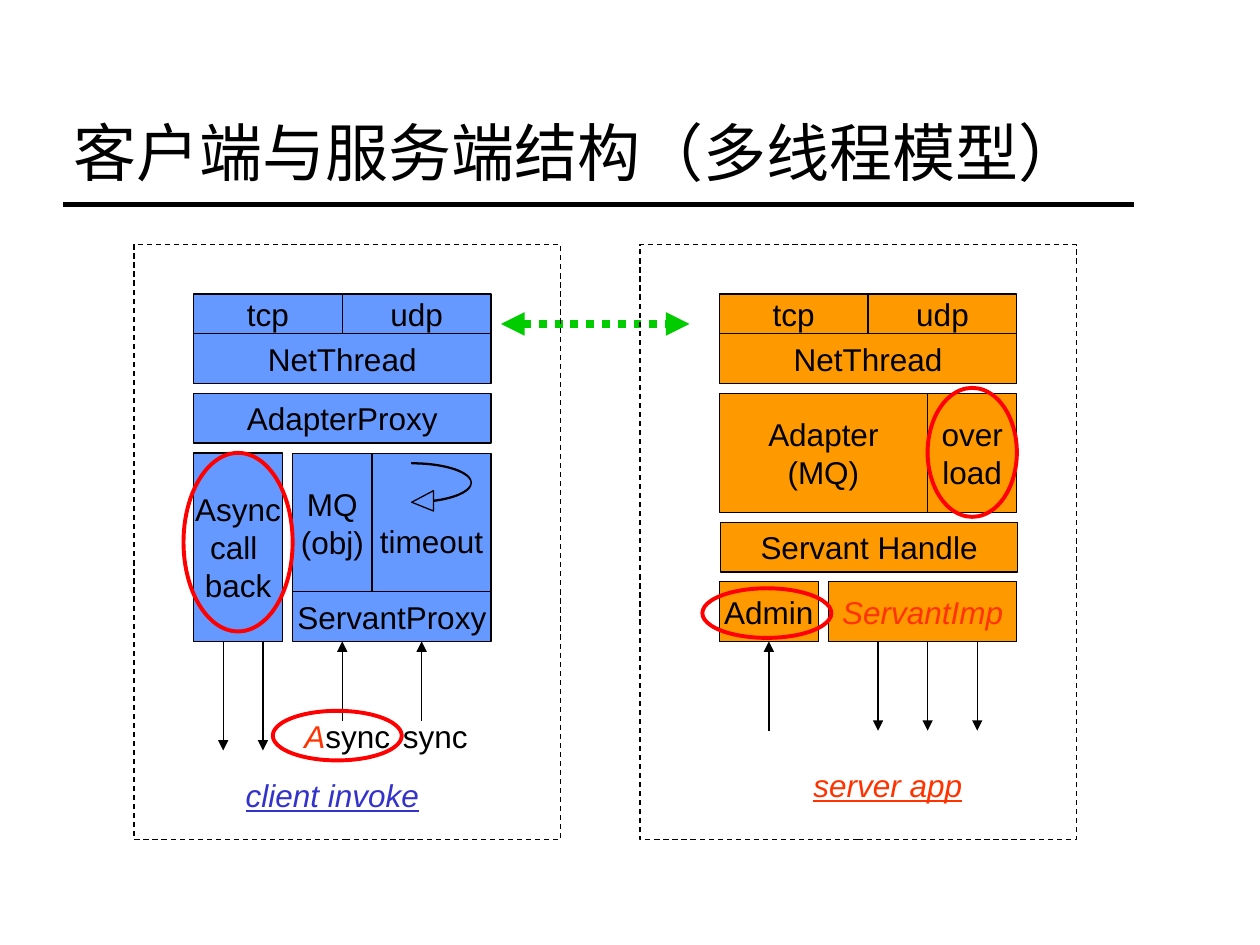
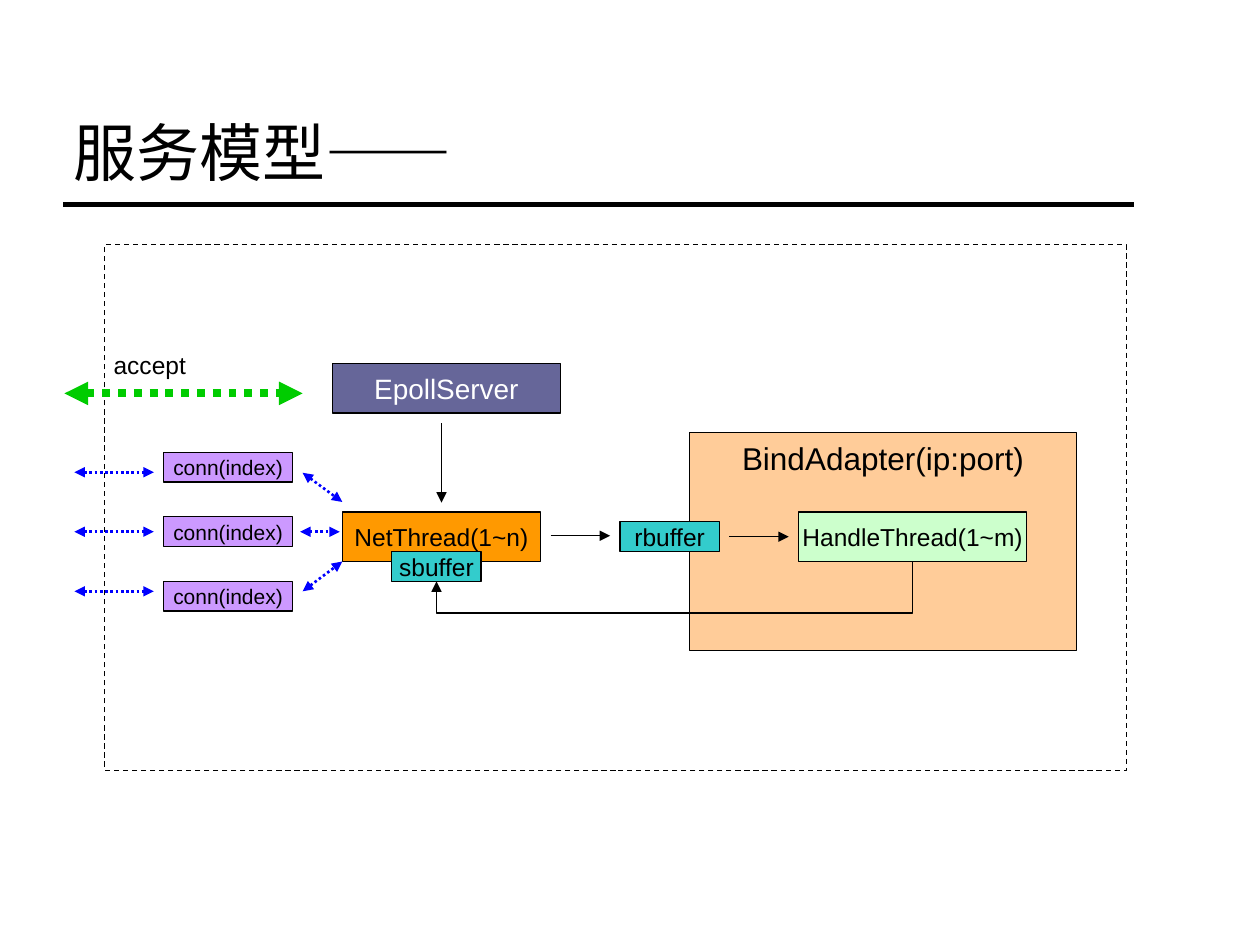
import pptx
import pptx.dml.color
import pptx.enum.dml
import pptx.enum.shapes
import pptx.enum.text
import pptx.oxml
import pptx.oxml.ns
import pptx.util

Cm = pptx.util.Cm
Pt = pptx.util.Pt
KIND = pptx.enum.shapes.MSO_SHAPE
LINK = pptx.enum.shapes.MSO_CONNECTOR
DASH = pptx.enum.dml.MSO_LINE
ALIGN = pptx.enum.text.PP_ALIGN
ANCHOR = pptx.enum.text.MSO_ANCHOR
FIT = pptx.enum.text.MSO_AUTO_SIZE
FONT = "Arial"

HUES = {
    "black": "000000", "white": "FFFFFF", "red": "FF0000", "flame": "FF3300",
    "blue": "6699FF", "navy": "3333CC", "ink": "0000FF", "orange": "FF9900",
    "green": "00CC00", "teal": "33CCCC", "peach": "FFCC99", "slate": "666699",
    "mint": "CCFFCC", "lilac": "CC99FF",
}


def hue(name):
    return pptx.dml.color.RGBColor.from_string(HUES[name])


def add_run(para, text, size, tone="black", font=FONT, slant=False, under=False):
    run = para.add_run()
    run.text = text
    run.font.size = Pt(size)
    run.font.name = font
    run.font.color.rgb = hue(tone)
    run.font.italic = slant
    run.font.underline = under


def set_line(line, tone, width, dash=None):
    line.color.rgb = hue(tone)
    line.width = Pt(width)
    if dash:
        line.dash_style = dash


def add_shape(slide, kind, spot, fill=None, edge="black", width=0.75, dash=None):
    shape = slide.shapes.add_shape(kind, *map(Cm, spot))
    shape.shadow.inherit = False
    if fill:
        shape.fill.solid()
        shape.fill.fore_color.rgb = hue(fill)
    else:
        shape.fill.background()
    if edge:
        set_line(shape.line, edge, width, dash)
    else:
        shape.line.fill.background()
    return shape


def write(shape, text, size, anchor=ANCHOR.MIDDLE, **style):
    frame = shape.text_frame
    frame.word_wrap = False
    frame.vertical_anchor = anchor
    for n, part in enumerate(text.split("\n")):
        para = frame.add_paragraph() if n else frame.paragraphs[0]
        para.alignment = ALIGN.CENTER
        add_run(para, part, size, **style)
    return frame


def add_box(slide, text, spot, fill, size=18, anchor=ANCHOR.MIDDLE, **style):
    return write(add_shape(slide, KIND.RECTANGLE, spot, fill), text, size, anchor, **style)


def add_label(slide, text, spot, **style):
    shape = add_shape(slide, KIND.FLOWCHART_PROCESS, spot, edge=None)
    return write(shape, text, 18, **style)


def add_frame(slide, spot):
    add_shape(slide, KIND.RECTANGLE, spot, dash=DASH.DASH)


def add_ring(slide, spot):
    add_shape(slide, KIND.OVAL, spot, edge="red", width=2.25)


def add_line(slide, ends, tone="black", width=0.75, dash=None, tips=("tail",),
             kind=LINK.STRAIGHT):
    link = slide.shapes.add_connector(kind, *map(Cm, ends))
    set_line(link.line, tone, width, dash)
    tag = pptx.oxml.ns.qn
    for tip in tips:
        end = pptx.oxml.parse_xml(
            f'<a:{tip}End {pptx.oxml.ns.nsdecls("a")} type="triangle"/>')
        link.line._get_or_add_ln().append(end)
    props = link._element.spPr
    props.append(props.makeelement(tag("a:effectLst"), {}))
    return link


def add_dots(slide, ends, tone, width):
    add_line(slide, ends, tone, width, DASH.ROUND_DOT, ("head", "tail"))


def add_bend(slide, ends, bend):
    link = add_line(slide, ends, kind=LINK.ELBOW)
    props = link._element.spPr
    tag = pptx.oxml.ns.qn
    props.find(tag("a:xfrm")).set("rot", "5400000")
    slot = props.find(tag("a:prstGeom")).find(tag("a:avLst"))
    slot.append(slot.makeelement(tag("a:gd"), {"name": "adj1", "fmla": f"val {bend}"}))


def add_title(slide, text):
    add_line(slide, (1.27, 4.12, 22.86, 4.12), width=3, tips=())
    frame = slide.shapes.add_textbox(*map(Cm, (1.24, 0.28, 22.91, 3.66))).text_frame
    frame.word_wrap = True
    frame.vertical_anchor = ANCHOR.BOTTOM
    add_run(frame.paragraphs[0], text, 36, font="Times New Roman")


def add_net(slide, left, fill):
    for n, name in enumerate(("tcp", "udp")):
        add_box(slide, name, (left + 3 * n, 5.93, 3, 0.8), fill)
    add_box(slide, "NetThread", (left, 6.73, 6, 1), fill)


def draw_client(slide):
    add_net(slide, 3.9, "blue")
    for text, spot in (
        ("ServantProxy", (5.9, 11.93, 4, 1)),
        ("AdapterProxy", (3.9, 7.93, 6, 1)),
        ("MQ\n(obj)", (5.9, 9.14, 1.6, 2.79)),
        ("Async\ncall \nback", (3.9, 9.13, 1.8, 3.8)),
    ):
        add_box(slide, text, spot, "blue")
    wait = add_box(slide, "timeout", (7.5, 9.14, 2.4, 2.79), "blue")
    wait.margin_top = Cm(0.86)
    turn = add_shape(slide, KIND.CURVED_LEFT_ARROW, (8.3, 9.33, 1.2, 1), "blue")
    for n, part in enumerate((0.02, 0.41, 0.44)):
        turn.adjustments[n] = part
    for x in (6.9, 8.5):
        add_line(slide, (x, 14.53, x, 12.93))
    for x in (4.5, 5.3):
        add_line(slide, (x, 12.93, x, 15.13))
    call = add_label(slide, "A", (6.1, 14.53, 1.8, 0.6), tone="flame", slant=True)
    add_run(call.paragraphs[0], "sync", 18)
    add_label(slide, "sync", (7.7, 14.53, 1.8, 0.6)).margin_left = Cm(0.6)
    add_label(slide, "client invoke", (4.9, 15.73, 3.6, 0.6),
              tone="navy", slant=True, under=True)


def draw_server(slide):
    add_net(slide, 14.5, "orange")
    for text, spot in (
        ("Adapter\n(MQ)", (14.5, 7.93, 4.2, 2.4)),
        ("over\nload", (18.7, 7.93, 1.8, 2.4)),
        ("Servant Handle", (14.52, 10.53, 6, 1)),
        ("Admin", (14.5, 11.73, 2, 1.2)),
    ):
        add_box(slide, text, spot, "orange")
    add_box(slide, "ServantImp", (16.7, 11.73, 3.8, 1.2), "orange",
            tone="flame", slant=True)
    for n in range(3):
        x = 17.7 + n
        add_line(slide, (x, 12.93, x, 14.73))
    add_line(slide, (15.5, 14.73, 15.5, 12.93))
    add_label(slide, "server app", (16.1, 15.53, 3.6, 0.6),
              tone="flame", slant=True, under=True)


def draw_threads(slide):
    add_title(slide, "客户端与服务端结构（多线程模型）")
    draw_client(slide)
    draw_server(slide)
    add_dots(slide, (10.1, 6.53, 13.9, 6.53), "green", 4.5)
    add_frame(slide, (2.7, 4.93, 8.6, 12))
    add_frame(slide, (12.9, 4.93, 8.8, 12))
    for spot in ((5.5, 14.33, 2.6, 1), (3.7, 9.13, 2.2, 3.6),
                 (14.16, 11.86, 2.6, 1), (18.7, 7.82, 1.8, 2.6)):
        add_ring(slide, spot)


def draw_model(slide):
    add_frame(slide, (2.11, 4.93, 20.6, 10.6))
    add_title(slide, "服务模型——")
    add_box(slide, "BindAdapter(ip:port)", (13.9, 8.72, 7.8, 4.4), "peach",
            anchor=ANCHOR.TOP)
    add_box(slide, "EpollServer", (6.7, 7.33, 4.6, 1), "slate", 16, tone="white")
    for text, spot, fill in (
        ("NetThread(1~n)", (6.9, 10.32, 4, 1), "orange"),
        ("sbuffer", (7.9, 11.12, 1.8, 0.6), "teal"),
        ("rbuffer", (12.5, 10.52, 2, 0.6), "teal"),
        ("HandleThread(1~m)", (16.1, 10.32, 4.6, 1), "mint"),
    ):
        add_box(slide, text, spot, fill, 14)
    note = slide.shapes.add_textbox(*map(Cm, (1.97, 6.93, 2.1, 0.86)))
    write(note, "accept", 14, ANCHOR.TOP).auto_size = FIT.SHAPE_TO_FIT_TEXT
    add_dots(slide, (1.3, 7.93, 6.1, 7.93), "green", 4.5)
    for ends in ((8.9, 8.53, 8.9, 10.13), (11.1, 10.8, 12.3, 10.8),
                 (14.7, 10.82, 15.9, 10.82)):
        add_line(slide, ends)
    add_bend(slide, (13.4, 6.72, 13.8, 16.32), 259800)
    for n, ends in enumerate(((6.1, 9.53, 6.9, 10.12), (6.05, 10.72, 6.85, 10.72),
                              (6.1, 11.92, 6.9, 11.32))):
        add_box(slide, "conn(index)", (3.3, 9.12 + 1.3 * n, 2.6, 0.6), "lilac", 12)
        y = 9.52 + 1.2 * n
        add_dots(slide, (1.5, y, 3.1, y), "ink", 1.5)
        add_dots(slide, ends, "ink", 1.5)


def main():
    deck = pptx.Presentation()
    deck.slide_width = Cm(25.4)
    deck.slide_height = Cm(19.05)
    for draw in (draw_threads, draw_model):
        draw(deck.slides.add_slide(deck.slide_layouts[6]))
    deck.save("out.pptx")


if __name__ == "__main__":
    main()
